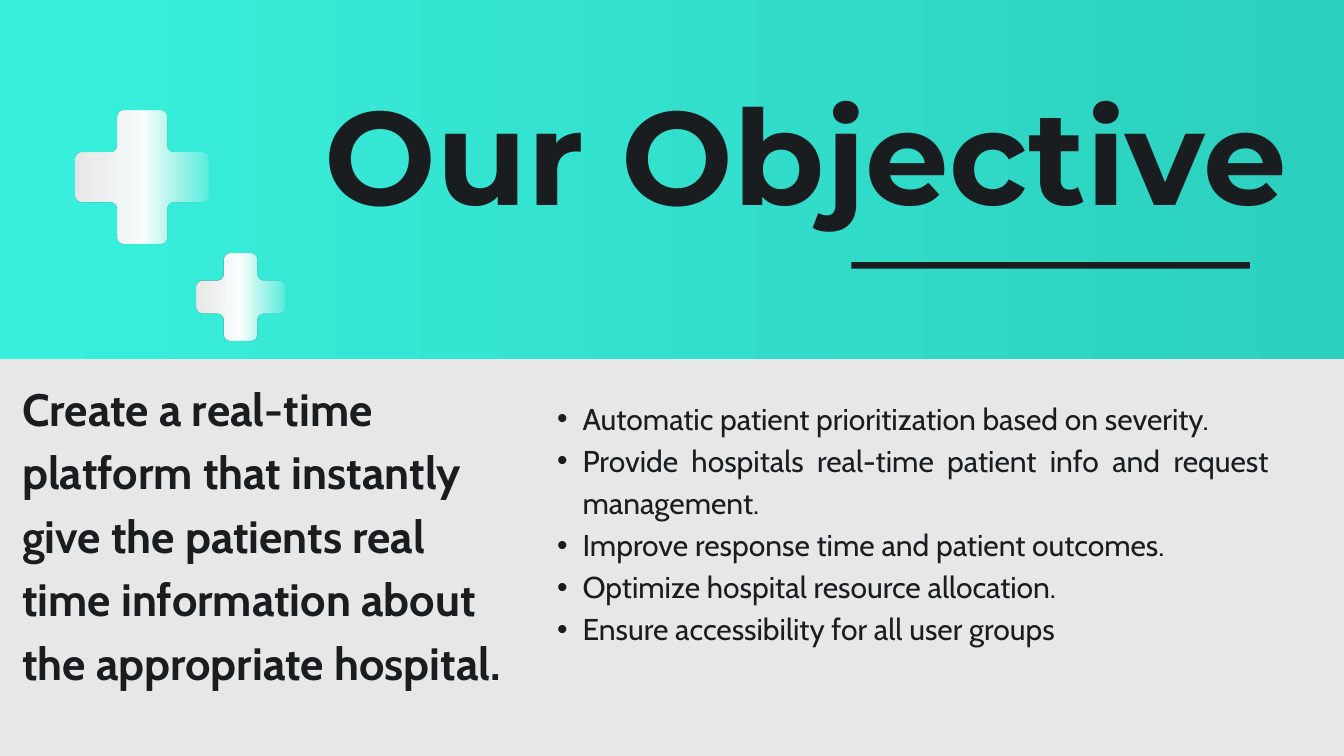
from dataclasses import dataclass
from math import cos, pi, sin

from lxml.etree import SubElement
from pptx import Presentation
from pptx.dml.color import RGBColor
from pptx.enum.dml import MSO_FILL
from pptx.enum.shapes import MSO_SHAPE as Preset
from pptx.enum.text import MSO_AUTO_SIZE as AutoSize, PP_ALIGN as Align
from pptx.oxml.ns import qn
from pptx.util import Emu, Inches, Pt

COLUMNS, ROWS = 20, 11.25
CELL = Inches(1)
INK, PAPER = "1A1D20", "E7E7E7"
BAND_STOPS = ((0, "38F0DC", 100), (100, "2CD0BE", 100))
CROSS_STOPS = ((0, PAPER, 100), (50, "F9FFFE", 100), (100, "F7F7F7", 18))


@dataclass(frozen=True)
class Area:
    """A block of the grid, in columns and rows."""
    column: float
    row: float
    columns: float
    rows: float

    def emu(self) -> tuple:
        """Return left, top, width and height in EMU."""
        return tuple(cells(n) for n in (self.column, self.row, self.columns, self.rows))


@dataclass(frozen=True)
class Copy:
    """Paragraphs that share one area and one style."""
    area: Area
    lines: tuple
    face: str
    size: float
    leading: float
    bold: bool = False
    bulleted: bool = False


@dataclass(frozen=True)
class Cross:
    """A medical cross with rounded corners."""
    column: float
    row: float
    span: float
    arm: float
    radius: float = 0.1


COPIES = (
    Copy(Area(4.83, 1.48, 16.62, 2.04), ("Our Objective",), "Montserrat", 141.9, 141.9, bold=True),
    Copy(Area(7.91, 5.87, 10.97, 4.94), (
        "Automatic patient prioritization based on severity.",
        "Provide hospitals real-time patient info and request management.",
        "Improve response time and patient outcomes.",
        "Optimize hospital resource allocation.",
        "Ensure accessibility for all user groups",
    ), "Cabin", 32.2, 45.1, bulleted=True),
    Copy(Area(0.33, 5.54, 7.4, 5.6), (
        "Create a real-time platform that instantly give the patients real time "
        "information about the appropriate hospital.",
    ), "Cabin", 48.5, 67.9, bold=True),
)
CROSSES = (Cross(2.93, 3.77, 1.3, 0.49), Cross(1.12, 1.64, 1.98, 0.74))


def cells(count: float) -> Emu:
    """Convert grid cells to EMU."""
    return Emu(round(count * CELL))


def color(value: str) -> RGBColor:
    """Turn a hex string into a colour."""
    return RGBColor.from_string(value)


def assign(target, values: dict) -> None:
    """Set each named attribute on the target."""
    for name, value in values.items():
        setattr(target, name, value)


def paint(shape, fill) -> None:
    """Fill a shape with one colour or a left-to-right gradient, without outline or shadow."""
    shape.shadow.inherit = False
    shape.line.fill.background()
    if isinstance(fill, str):
        shape.fill.solid()
        shape.fill.fore_color.rgb = color(fill)
        return
    shape.fill.gradient()
    shape.fill.gradient_angle = 0
    stops = shape._element.spPr.find(qn("a:gradFill")).find(qn("a:gsLst"))
    stops[:] = []
    for position, value, opacity in fill:
        stop = SubElement(stops, qn("a:gs"), pos=str(position * 1000))
        tint = SubElement(stop, qn("a:srgbClr"), val=value)
        if opacity < 100:
            SubElement(tint, qn("a:alpha"), val=str(opacity * 1000))


def draw_block(slide, area: Area, fill) -> None:
    """Draw a filled rectangle."""
    paint(slide.shapes.add_shape(Preset.RECTANGLE, *area.emu()), fill)


def toward(start: tuple, end: tuple) -> tuple:
    """Return the direction of an upright or level edge."""
    return tuple((b > a) - (b < a) for a, b in zip(start, end))


def cross_outline(cross: Cross, steps: int = 8) -> list:
    """Return the outline points of a cross, each corner rounded by an arc."""
    half, arm = cross.span / 2, cross.arm / 2
    quarter = ((arm, -half), (arm, -arm), (half, -arm))
    corners = []
    for _ in range(4):
        corners += quarter
        quarter = tuple((-y, x) for x, y in quarter)
    points = []
    for index, corner in enumerate(corners):
        back = toward(corner, corners[index - 1])
        ahead = toward(corner, corners[(index + 1) % len(corners)])
        for step in range(steps + 1):
            turn = pi / 2 * step / steps
            x, y = (
                c + cross.radius * (b * (1 - sin(turn)) + a * (1 - cos(turn)))
                for c, b, a in zip(corner, back, ahead)
            )
            points.append((cells(cross.column + half + x), cells(cross.row + half + y)))
    return points


def draw_cross(slide, cross: Cross) -> None:
    """Draw a rounded cross that fades to the right."""
    first, *rest = cross_outline(cross)
    builder = slide.shapes.build_freeform(*first)
    builder.add_line_segments(rest, close=True)
    paint(builder.convert_to_shape(), CROSS_STOPS)


def add_bullet(paragraph) -> None:
    """Give a paragraph a hanging bullet."""
    properties = paragraph._p.get_or_add_pPr()
    properties.set("marL", str(cells(0.76)))
    properties.set("indent", str(cells(-0.38)))
    SubElement(properties, qn("a:buFont"), typeface="Arial")
    SubElement(properties, qn("a:buChar"), char="•")
    assign(paragraph, {"level": 1, "alignment": Align.JUSTIFY})


def write_copy(slide, copy: Copy) -> None:
    """Write the paragraphs of one text area."""
    frame = slide.shapes.add_textbox(*copy.area.emu()).text_frame
    margins = dict.fromkeys(("margin_left", "margin_top", "margin_right", "margin_bottom"), 0)
    assign(frame, {**margins, "word_wrap": True, "auto_size": AutoSize.SHAPE_TO_FIT_TEXT})
    for index, line in enumerate(copy.lines):
        paragraph = frame.add_paragraph() if index else frame.paragraphs[0]
        if copy.bulleted:
            add_bullet(paragraph)
        paragraph.line_spacing = Pt(copy.leading)
        run = paragraph.add_run()
        run.text = line
        assign(run.font, {"name": copy.face, "size": Pt(copy.size), "bold": copy.bold})
        run.font.color.rgb = color(INK)


def main() -> None:
    """Build the objective slide and save it."""
    deck = Presentation()
    assign(deck, {"slide_width": cells(COLUMNS), "slide_height": cells(ROWS)})
    slide = deck.slides.add_slide(deck.slide_layouts[6])
    backdrop = slide.background.fill
    backdrop.solid()
    backdrop.fore_color.rgb = color(PAPER)
    draw_block(slide, Area(0, 0, COLUMNS, 5.34), BAND_STOPS)
    for copy in COPIES:
        write_copy(slide, copy)
    draw_block(slide, Area(12.67, 3.9, 5.93, 0.1), INK)
    for cross in CROSSES:
        draw_cross(slide, cross)
    deck.save("out.pptx")


if __name__ == "__main__":
    main()
